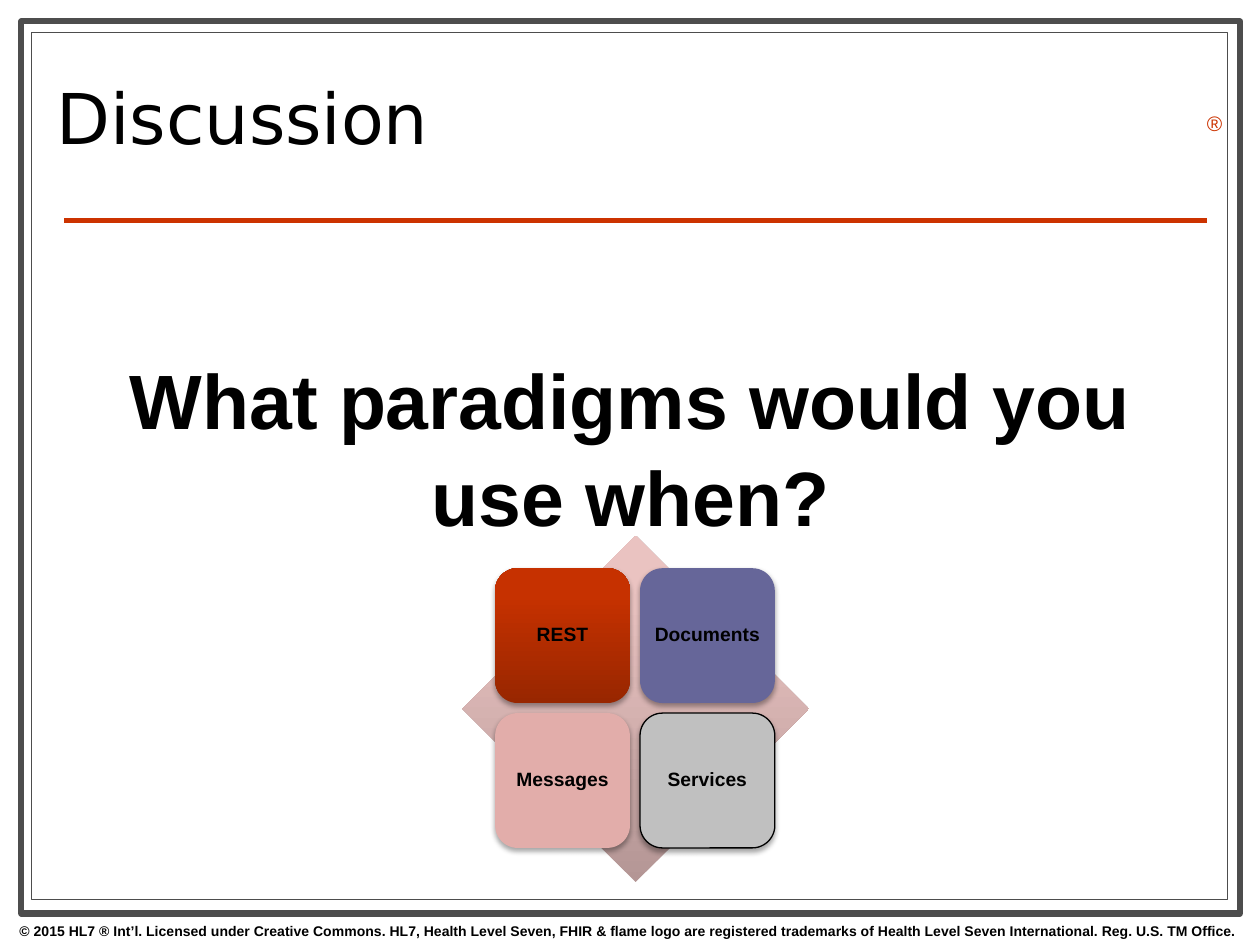
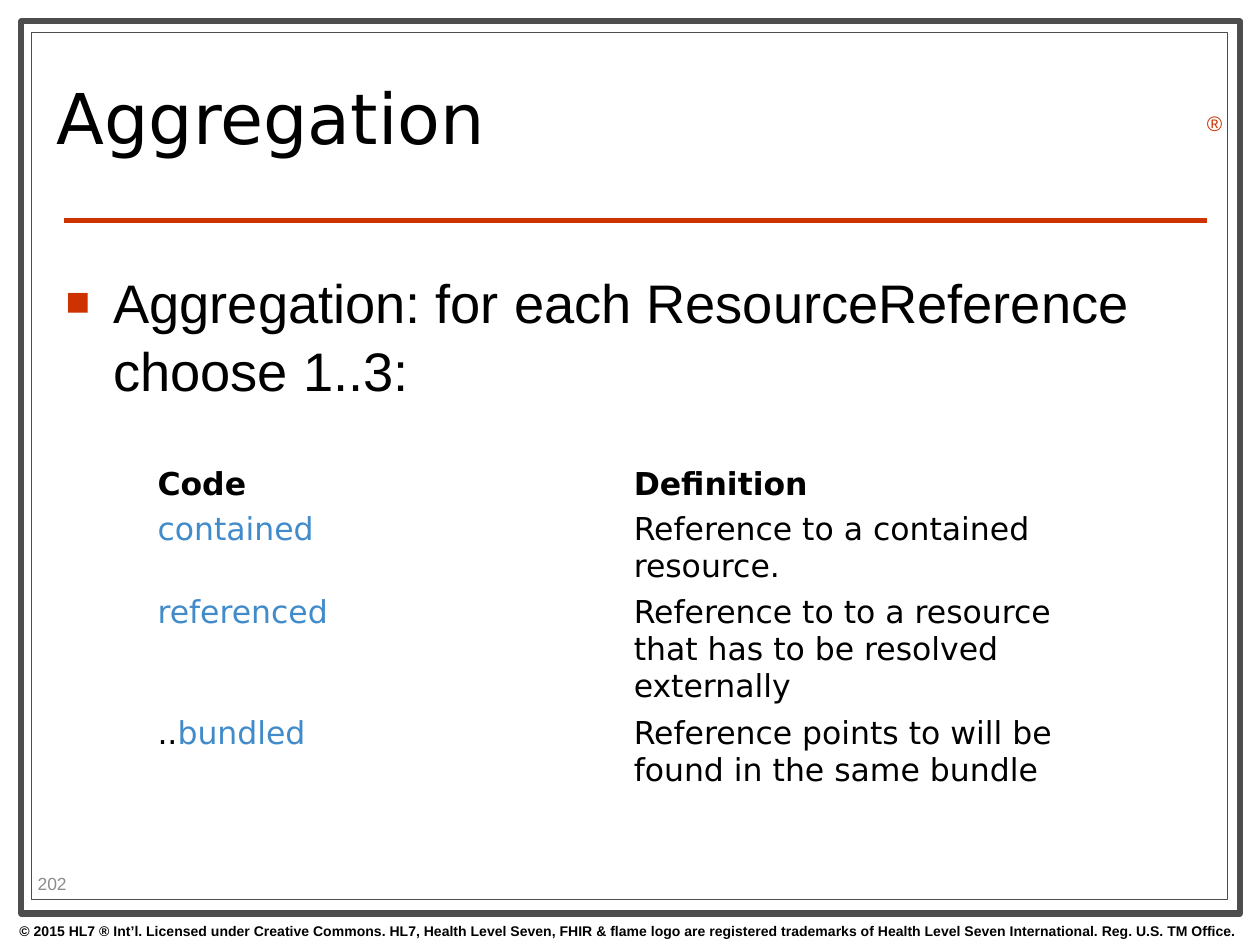
import copy

import pptx
import pptx.dml.color
import pptx.enum.shapes
import pptx.enum.text
import pptx.oxml
import pptx.oxml.ns
import pptx.util
from pptx.util import Inches

BLACK, WHITE, GRAY, RED, LINK = "000000", "FFFFFF", "4D4D4D", "CC3300", "428BCA"
BODY_FONT, HEAD_FONT = "Arial", "DejaVu Sans"
SHAPE = pptx.enum.shapes.MSO_SHAPE
ALIGN = pptx.enum.text.PP_ALIGN
MIDDLE = pptx.enum.text.MSO_ANCHOR.MIDDLE
COPYRIGHT = (
    "© 2015 HL7 ® Int’l. Licensed under Creative Commons. HL7, Health Level Seven, "
    "FHIR & flame logo are registered trademarks of Health Level Seven International. "
    "Reg. U.S. TM Office."
)


def rgb(color):
    return pptx.dml.color.RGBColor.from_string(color)


def add_xml(parent, tag, **attributes):
    child = pptx.oxml.parse_xml(f"<a:{tag} {pptx.oxml.ns.nsdecls('a')}/>")
    for key, value in attributes.items():
        child.set(key, str(value))
    parent.append(child)
    return child


class Deck:
    def __init__(self):
        self.prs = pptx.Presentation()
        self.prs.slide_width, self.prs.slide_height = Inches(10), Inches(7.5)
        self.layout = self.prs.slide_layouts[1]
        self.slide = None

    def new_slide(self, title):
        self.slide = self.prs.slides.add_slide(self.layout)
        if len(self.prs.slides) == 1:
            self.fill_layout()
        heading = self.slide.shapes.title
        self.place(heading, 0.35, 0.36, 7.17, 1.26)
        heading.text_frame.vertical_anchor = MIDDLE
        self.set_text(heading.text_frame, title, 40, font=HEAD_FONT, spacing=0.8)

    def fill_layout(self):
        """Draw the shared parts once and hand them to the layout."""
        shared = [
            self.box(SHAPE.RECTANGLE, 0.17, 0.17, 9.67, 7.08, WHITE, (GRAY, 3.5)),
            self.box(SHAPE.RECTANGLE, 0.25, 0.26, 9.49, 6.88, WHITE, (GRAY, 0.75)),
            self.rule(0.51, 1.75, 9.58, 1.75, RED, 3),
            self.text(-0.01, 7.27, 10, 0.23, COPYRIGHT, 8, bold=True, align=ALIGN.CENTER),
            self.text(9.48, 0.83, 0.31, 0.3, "®", 12, wrap=False, color=RED),
        ]
        for part in shared:
            self.layout.shapes.element.append(part.element)

    def place(self, shape, left, top, width, height):
        shape.left, shape.top = Inches(left), Inches(top)
        shape.width, shape.height = Inches(width), Inches(height)

    def set_text(self, frame, content, size, color=BLACK, font=BODY_FONT, bold=False,
                 align=ALIGN.LEFT, spacing=None, bullet=None):
        """Content is a string or a list of (text, colour) runs."""
        paragraph = frame.paragraphs[0]
        paragraph.alignment = align
        paragraph.space_before = pptx.util.Pt(0)
        if spacing:
            paragraph.line_spacing = spacing
        props = paragraph._p.get_or_add_pPr()
        indent = Inches(0.38) if bullet else 0
        props.set("marL", str(indent))
        props.set("indent", str(-indent))
        if bullet:
            add_xml(add_xml(props, "buClr"), "srgbClr", val=RED)
            add_xml(props, "buSzPct", val=75000)
            add_xml(props, "buFont", typeface=BODY_FONT)
            add_xml(props, "buChar", char=bullet)
        else:
            add_xml(props, "buNone")
        style = paragraph.font
        style.name, style.size, style.bold = font, pptx.util.Pt(size), bold
        if isinstance(content, str):
            style.color.rgb = rgb(color)
            paragraph.add_run().text = content
        else:
            for words, run_color in content:
                run = paragraph.add_run()
                run.text = words
                run.font.color.rgb = rgb(run_color)

    def text(self, left, top, width, height, content, size, wrap=True, **style):
        label = self.slide.shapes.add_textbox(
            Inches(left), Inches(top), Inches(width), Inches(height))
        label.text_frame.word_wrap = wrap
        self.set_text(label.text_frame, content, size, **style)
        return label

    def body(self, top, content, size, **style):
        area = self.slide.placeholders[1]
        self.place(area, 0.42, top, 9.17, 7.06 - top)
        area.text_frame.auto_size = pptx.enum.text.MSO_AUTO_SIZE.NONE
        self.set_text(area.text_frame, content, size, spacing=1.05, **style)

    def box(self, kind, left, top, width, height, fill, line=None, group=None):
        """Fill is a colour or a list of (position, colour) going upwards."""
        shapes = group.shapes if group else self.slide.shapes
        shape = shapes.add_shape(
            kind, Inches(left), Inches(top), Inches(width), Inches(height))
        shape.shadow.inherit = False
        if isinstance(fill, str):
            shape.fill.solid()
            shape.fill.fore_color.rgb = rgb(fill)
        else:
            shape.fill.gradient()
            shape.fill.gradient_angle = 90
            stops = shape.element.spPr.find(".//" + pptx.oxml.ns.qn("a:gsLst"))
            while len(stops) < len(fill):
                stops.append(copy.deepcopy(stops[0]))
            for stop, (position, color) in zip(shape.fill.gradient_stops, fill):
                stop.position = position
                stop.color.rgb = rgb(color)
        if line:
            shape.line.color.rgb = rgb(line[0])
            shape.line.width = pptx.util.Pt(line[1])
        else:
            shape.line.fill.background()
        return shape

    def tile(self, left, top, side, label, fill, line, group):
        tile = self.box(SHAPE.ROUNDED_RECTANGLE, left, top, side, side, fill, line, group)
        effects = tile.element.spPr.find(pptx.oxml.ns.qn("a:effectLst"))
        shadow = add_xml(effects, "outerShdw", blurRad=pptx.util.Pt(3.1),
                         dist=pptx.util.Pt(1.8), dir=5400000, rotWithShape=0)
        add_xml(add_xml(shadow, "srgbClr", val=BLACK), "alpha", val=35000)
        frame = tile.text_frame
        frame.word_wrap = True
        frame.vertical_anchor = MIDDLE
        frame.margin_left = frame.margin_right = Inches(0.02)
        self.set_text(frame, label, 11, bold=True, align=ALIGN.CENTER, spacing=0.9)

    def rule(self, x1, y1, x2, y2, color, width):
        rule = self.slide.shapes.add_connector(
            pptx.enum.shapes.MSO_CONNECTOR.STRAIGHT,
            Inches(x1), Inches(y1), Inches(x2), Inches(y2))
        rule.line.color.rgb = rgb(color)
        rule.line.width = pptx.util.Pt(width)
        add_xml(rule.element.spPr, "effectLst")
        return rule

    def table(self, left, top, width, heights, rows):
        table = self.slide.shapes.add_table(
            len(rows), len(rows[0]), Inches(left), Inches(top),
            Inches(width), Inches(sum(heights))).table
        table.first_row = table.horz_banding = False
        for r, (height, row) in enumerate(zip(heights, rows)):
            table.rows[r].height = Inches(height)
            for c, content in enumerate(row):
                cell = table.cell(r, c)
                cell.fill.solid()
                cell.fill.fore_color.rgb = rgb(WHITE)
                cell.margin_left = cell.margin_right = Inches(0.03)
                cell.margin_top = cell.margin_bottom = Inches(0.03)
                self.set_text(cell.text_frame, content, 18, font=HEAD_FONT, bold=r == 0)

    def page_number(self, number):
        label = self.text(0.2, 6.89, 0.79, 0.24, number, 10, color="8C8C8C")
        label.text_frame.vertical_anchor = MIDDLE


def discussion(deck):
    deck.new_slide("Discussion")
    deck.body(2.71, "What paradigms would you use when?", 44,
              bold=True, align=ALIGN.CENTER)

    # Four paradigms on a diamond
    matrix = deck.slide.shapes.add_group_shape()
    deck.box(SHAPE.DIAMOND, 3.67, 4.25, 2.75, 2.75,
             [(0, "B49695"), (0.8, "EAC3C1"), (1, "ECC3C1")], group=matrix)
    paradigms = [
        ("REST", [(0, "982600"), (0.8, "C63100"), (1, "C73200")], None),
        ("Documents", "666699", None),
        ("Messages", "E2ADAA", None),
        ("Services", "C0C0C0", (BLACK, 0.75)),
    ]
    side, pitch = 1.07, 1.15
    for index, (label, fill, line) in enumerate(paradigms):
        row, column = divmod(index, 2)
        deck.tile(3.93 + column * pitch, 4.51 + row * pitch, side, label, fill, line, matrix)


def aggregation(deck):
    deck.new_slide("Aggregation")
    deck.body(2.06, "Aggregation: for each ResourceReference choose 1..3:", 31, bullet="■")
    deck.page_number("202")

    # Aggregation codes
    deck.table(1.22, 3.67, 7.56, [0.36, 0.64, 0.93, 0.72], [
        ("Code", "Definition"),
        ([("contained", LINK)], "Reference to a contained resource."),
        ([("referenced", LINK)],
         "Reference to to a resource that has to be resolved externally"),
        ([("..", BLACK), ("bundled", LINK)],
         "Reference points to will be found in the same bundle"),
    ])


def main():
    deck = Deck()
    discussion(deck)
    aggregation(deck)
    deck.prs.save("out.pptx")


if __name__ == "__main__":
    main()
